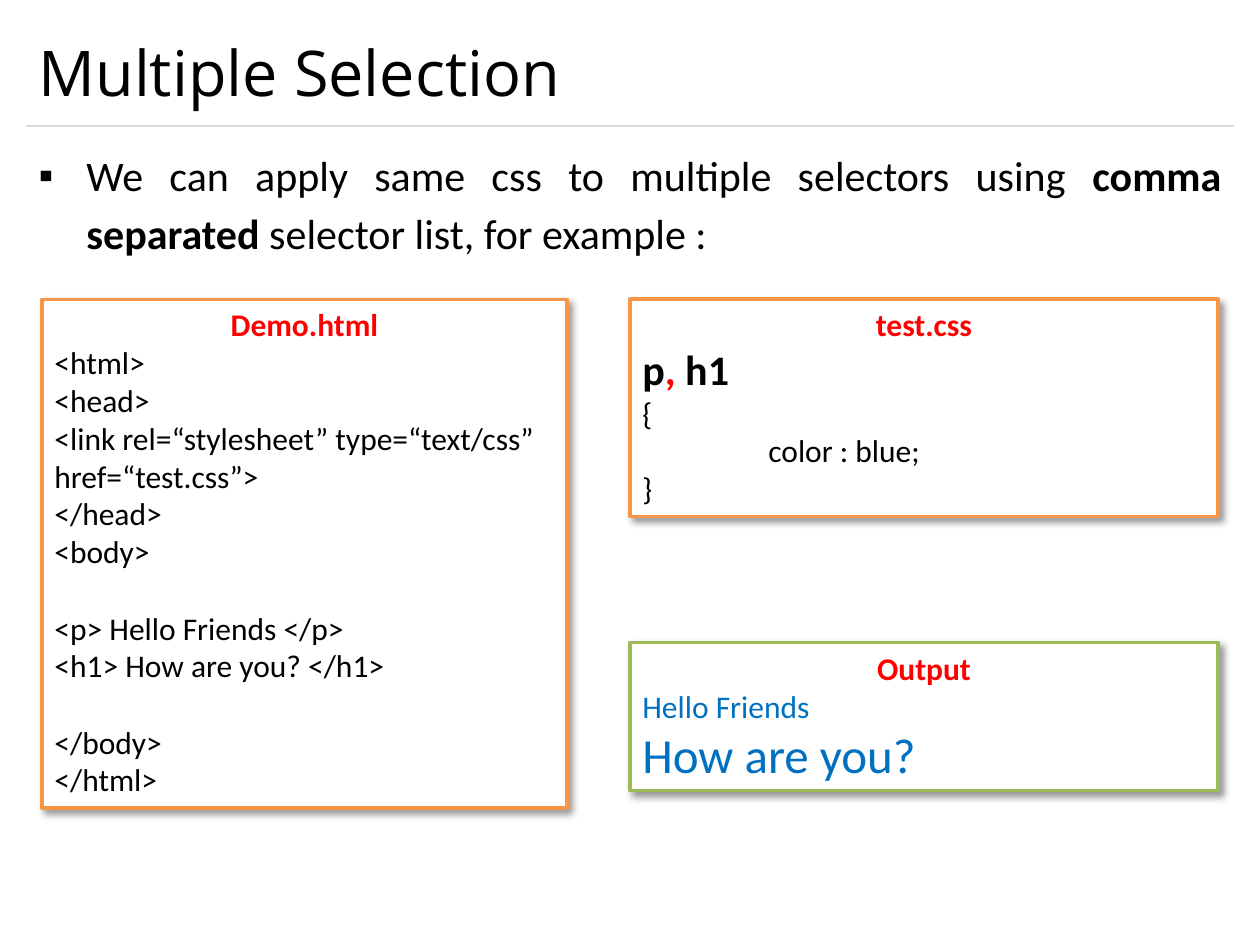
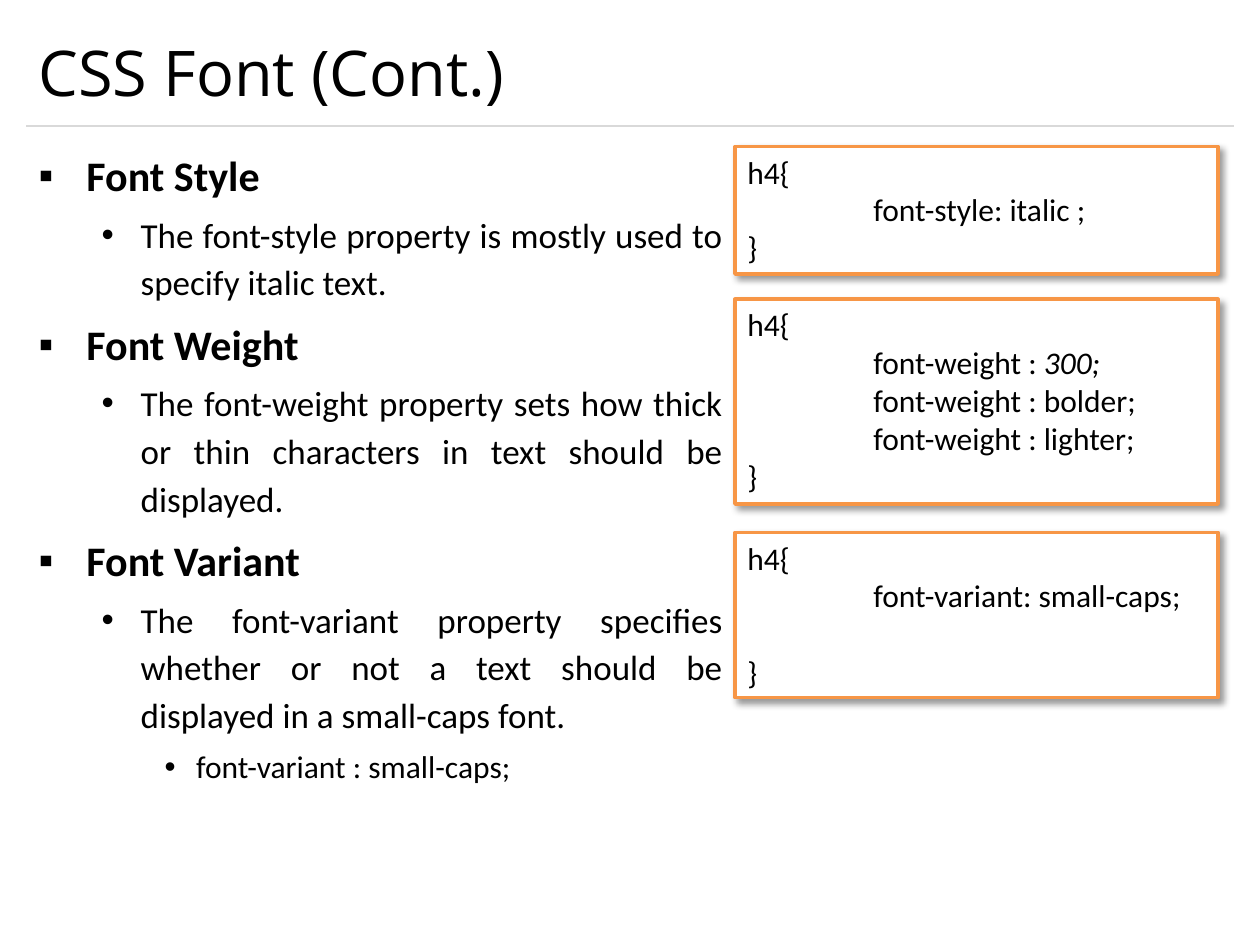
import lxml.etree
import pptx
import pptx.dml.color
import pptx.enum.shapes
import pptx.enum.text
import pptx.oxml.ns
import pptx.util

COLORS = {"ink": "000000", "paper": "FFFFFF", "rule": "D9D9D9", "code": "F79646",
          "output": "9BBB59", "heading": "FF0000", "result": "0070C0"}
ALIGN = pptx.enum.text.PP_ALIGN
qn = pptx.oxml.ns.qn

deck = pptx.Presentation()
deck.slide_width = pptx.util.Inches(10)
deck.slide_height = pptx.util.Inches(7.5)
COLUMN = deck.slide_width / 24
ROW = deck.slide_height / 60
CODE_LINE = pptx.util.Pt(22)


def place(column, row, columns, rows):
    """Turn grid columns and rows into left, top, width and height."""
    return [round(length) for length in
            (column * COLUMN, row * ROW, columns * COLUMN, rows * ROW)]


def write(box, paragraphs, frame_format):
    """Fill a box with paragraphs, each one a format dict and its runs."""
    frame = box.text_frame
    for name, value in {"word_wrap": True, **frame_format}.items():
        setattr(frame, name, value)
    for number, (style, runs) in enumerate(paragraphs):
        para = frame.paragraphs[0] if number == 0 else frame.add_paragraph()
        style = {"alignment": ALIGN.LEFT, **style}
        bullet = style.pop("bullet", None)
        margin, hanging = style.pop("indent", (0, 0))
        for name, value in style.items():
            setattr(para, name, value)
        properties = para._p.get_or_add_pPr()
        properties.set("marL", str(pptx.util.Inches(margin)))
        properties.set("indent", str(pptx.util.Inches(-hanging)))
        if bullet:
            lxml.etree.SubElement(properties, qn("a:buFont"), typeface="Arial")
            lxml.etree.SubElement(properties, qn("a:buChar"), char=bullet)
        for text, font_format in runs:
            span = para.add_run()
            span.text = text
            font_format = {"name": "Calibri", "size": 18, "color": "ink", **font_format}
            color = COLORS[font_format.pop("color")]
            font_format["size"] = pptx.util.Pt(font_format["size"])
            span.font.color.rgb = pptx.dml.color.RGBColor.from_string(color)
            for name, value in font_format.items():
                setattr(span.font, name, value)


# Paragraph and run formats
BOLD = {"bold": True}
HEADING = {"color": "heading", "bold": True}
CENTER = {"alignment": ALIGN.CENTER}
DECLARATION = {"indent": (1, 0)}
AFTER_GAP = {"space_before": CODE_LINE}
BODY_LEVELS = [
    {"size": 24, "bullet": "▪", "indent": (0.38, 0.38)},
    {"size": 20, "bullet": "•", "indent": (0.81, 0.31)},
    {"size": 18, "bullet": "•", "indent": (1.25, 0.25)},
]

# Slide content: body items are (level, alignment, runs),
# boxes are (grid place, outline colour, paragraphs)
SLIDES = [
    {
        "title": "Multiple Selection",
        "body_place": (0.5, 8.67, 23, 9.4),
        "body": [(0, ALIGN.JUSTIFY, [
            ("We can apply same css to multiple selectors using ", {}),
            ("comma separated", BOLD),
            (" selector list, for example :", {})])],
        "boxes": [
            ((0.8, 19, 10, 32.3), "code", [
                (CENTER, [("Demo.html", HEADING)]),
                ({}, [("<html>", {})]),
                ({}, [("<head>", {})]),
                ({}, [("<link rel=“stylesheet” type=“text/css” href=“test.css”>", {})]),
                ({}, [("</head>", {})]),
                ({}, [("<body>", {})]),
                (AFTER_GAP, [("<p> Hello Friends </p>", {})]),
                ({}, [("<h1> How are you? </h1>", {})]),
                (AFTER_GAP, [("</body>", {})]),
                ({}, [("</html>", {})])]),
            ((12, 19, 11.2, 13.8), "code", [
                (CENTER, [("test.css", HEADING)]),
                ({}, [("p", {"size": 24, **BOLD}), (",", {"size": 24, **HEADING}),
                      (" h1", {"size": 24, **BOLD})]),
                ({}, [("{", {})]),
                (DECLARATION, [("color : blue;", {})]),
                ({}, [("}", {})])]),
            ((12, 40.8, 11.2, 9.4), "output", [
                (CENTER, [("Output", HEADING)]),
                ({}, [("Hello Friends", {"color": "result"})]),
                ({}, [("How are you?", {"color": "result", "size": 28})])]),
        ],
    },
    {
        "title": "CSS Font (Cont.)",
        "body_place": (0.5, 8.67, 13.5, 46.6),
        "body": [
            (0, ALIGN.LEFT, [("Font Style", BOLD)]),
            (1, ALIGN.JUSTIFY, [
                ("The font-style property is mostly used to specify italic text.", {})]),
            (0, ALIGN.LEFT, [("Font Weight", BOLD)]),
            (1, ALIGN.JUSTIFY, [
                ("The font-weight property sets how thick or thin characters in text "
                 "should be displayed.", {})]),
            (0, ALIGN.LEFT, [("Font Variant", BOLD)]),
            (1, ALIGN.JUSTIFY, [
                ("The font-variant property specifies whether or not a text should be "
                 "displayed in a small-caps font.", {})]),
            (2, ALIGN.JUSTIFY, [("font-variant : small-caps;", {})]),
        ],
        "boxes": [
            ((14, 9.3, 9.2, 8.1), "code", [
                ({}, [("h4{", {})]),
                (DECLARATION, [("font-style: italic ;", {})]),
                ({}, [("}", {})])]),
            ((14, 19, 9.2, 13), "code", [
                ({}, [("h4{", {})]),
                (DECLARATION, [("font-weight : ", {}), ("300;", {"italic": True})]),
                (DECLARATION, [("font-weight : bolder;", {})]),
                (DECLARATION, [("font-weight : lighter;", {})]),
                ({}, [("}", {})])]),
            ((14, 33.8, 9.2, 10.5), "code", [
                ({}, [("h4{", {})]),
                (DECLARATION, [("font-variant: small-caps;", {})]),
                (AFTER_GAP, [("}", {})])]),
        ],
    },
]

for content in SLIDES:
    page = deck.slides.add_slide(deck.slide_layouts[6])

    # Rule under the title
    left, top, width, _ = place(0.5, 8, 23, 0)
    rule = page.shapes.add_connector(
        pptx.enum.shapes.MSO_CONNECTOR.STRAIGHT, left, top, left + width, top)
    rule.line.color.rgb = pptx.dml.color.RGBColor.from_string(COLORS["rule"])
    rule.line.width = pptx.util.Pt(0.75)
    lxml.etree.SubElement(rule._element.spPr, qn("a:effectLst"))

    # Title
    title = page.shapes.add_textbox(*place(0.5, 1, 23, 7))
    write(title, [({}, [(content["title"], {"name": "Open Sans", "size": 36})])],
          {"vertical_anchor": pptx.enum.text.MSO_ANCHOR.MIDDLE})

    # Bulleted body
    paragraphs = []
    for level, alignment, runs in content["body"]:
        style = dict(BODY_LEVELS[level])
        size = style.pop("size")
        style.update(level=level, alignment=alignment, line_spacing=1.14,
                     space_before=pptx.util.Pt(size * 0.2))
        paragraphs.append((style, [(text, {"size": size, **font}) for text, font in runs]))
    body = page.shapes.add_textbox(*place(*content["body_place"]))
    write(body, paragraphs, {})

    # Code and output boxes
    for box_place, outline, paragraphs in content["boxes"]:
        box = page.shapes.add_shape(
            pptx.enum.shapes.MSO_SHAPE.RECTANGLE, *place(*box_place))
        box.fill.solid()
        box.fill.fore_color.rgb = pptx.dml.color.RGBColor.from_string(COLORS["paper"])
        box.line.color.rgb = pptx.dml.color.RGBColor.from_string(COLORS[outline])
        box.line.width = pptx.util.Pt(2)
        box.shadow.inherit = False
        effects = box._element.spPr.find(qn("a:effectLst"))
        shadow = lxml.etree.SubElement(
            effects, qn("a:outerShdw"), blurRad=str(pptx.util.Pt(4)),
            dist=str(pptx.util.Pt(3)), dir=str(45 * 60000), algn="tl", rotWithShape="0")
        tint = lxml.etree.SubElement(shadow, qn("a:srgbClr"), val=COLORS["ink"])
        lxml.etree.SubElement(tint, qn("a:alpha"), val="40000")
        write(box, paragraphs, {
            "vertical_anchor": pptx.enum.text.MSO_ANCHOR.TOP,
            "auto_size": pptx.enum.text.MSO_AUTO_SIZE.SHAPE_TO_FIT_TEXT})

deck.save("out.pptx")
